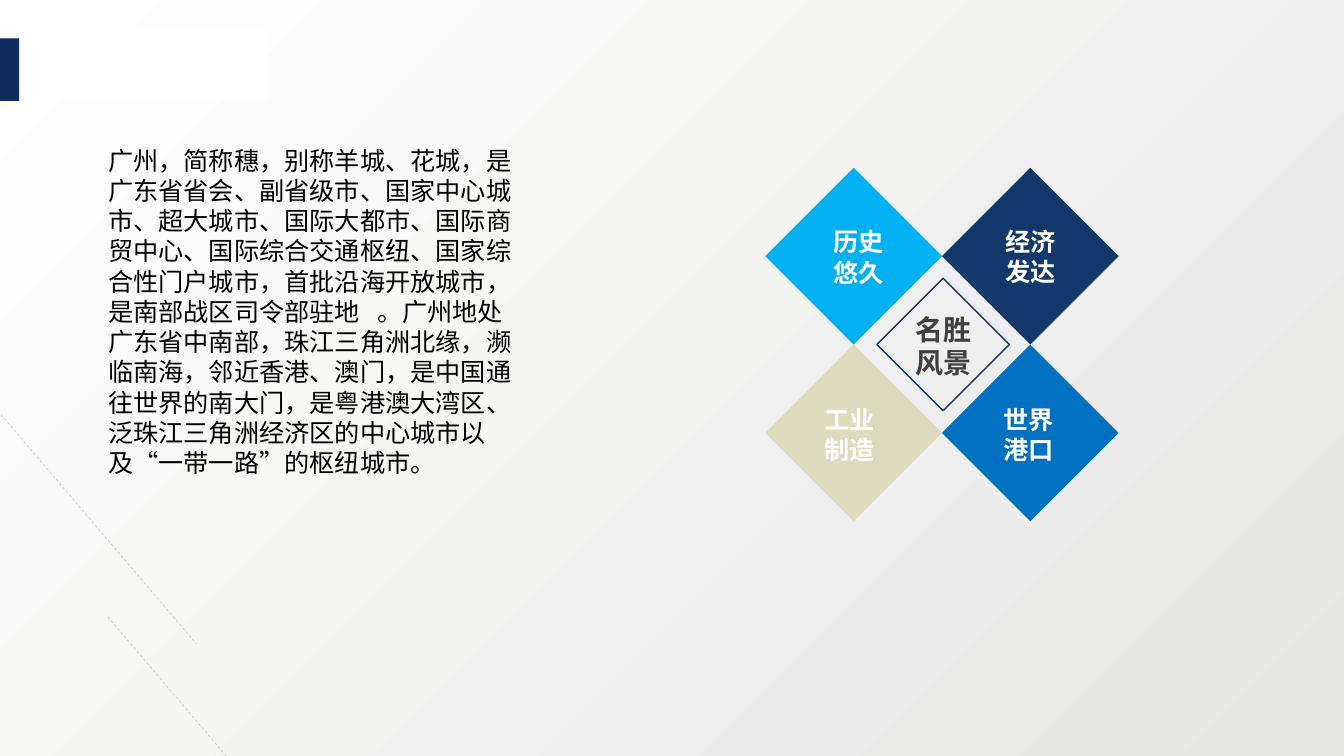
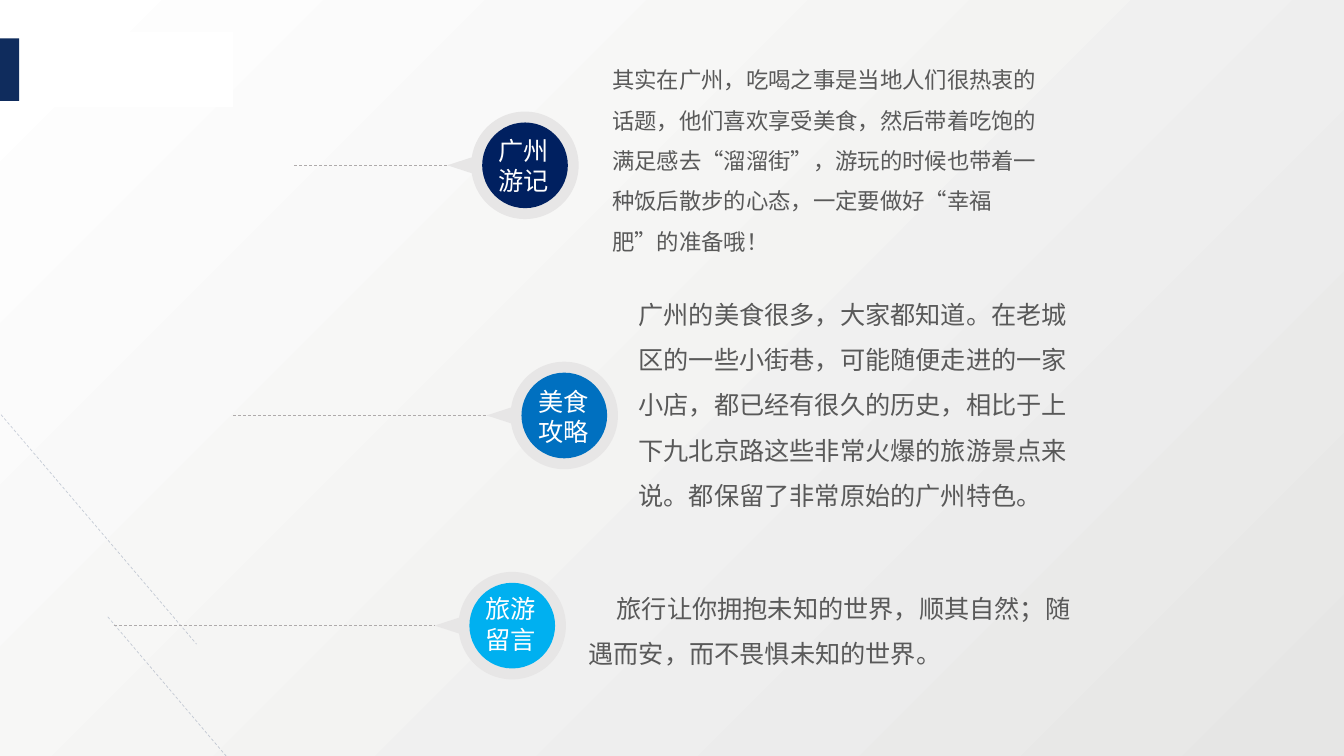
import math
from dataclasses import dataclass
from typing import Optional

import pptx
import pptx.dml.color
import pptx.enum.dml
import pptx.enum.shapes
import pptx.enum.text
import pptx.oxml
import pptx.oxml.ns
import pptx.util

COLS, ROWS = 160, 90
CELL = pptx.util.Pt(6)
FONT = "Noto Sans CJK SC"
COLORS = {
    "marker": "0F2C5D", "navy": "13396C", "midnight": "002060",
    "blue": "0070C0", "sky": "00B0F0", "sand": "DDDBBD",
    "white": "FFFFFF", "black": "000000", "mist": "E6E6E5",
    "ring": "E7E6E6", "leader": "AFABAB", "heading": "404040", "text": "595959",
}
NS = pptx.oxml.ns.nsdecls("a")
SHAPE = pptx.enum.shapes.MSO_SHAPE


@dataclass(frozen=True)
class Box:
    """A place on the grid, in columns and rows."""
    x: float
    y: float
    w: float
    h: float

    def emu(self) -> list[int]:
        return [cells(v) for v in (self.x, self.y, self.w, self.h)]


@dataclass(frozen=True)
class Text:
    words: str
    box: Box
    size: int = 18
    color: str = "text"
    bold: bool = False
    font: str = FONT
    spacing: float = 1.0
    indent: float = 0
    centered: bool = False


@dataclass(frozen=True)
class Callout:
    cx: float
    cy: float
    leader_start: float
    color: str
    label: str
    label_x: float
    label_y: float


def cells(n: float) -> int:
    return round(n * CELL)


def square(cx: float, cy: float, side: float) -> Box:
    return Box(cx - side / 2, cy - side / 2, side, side)


def rgb(name: str) -> pptx.dml.color.RGBColor:
    return pptx.dml.color.RGBColor.from_string(COLORS[name])


def paint(sp, fill: Optional[str] = None, line: Optional[str] = None) -> None:
    sp.shadow.inherit = False
    if fill:
        sp.fill.solid()
        sp.fill.fore_color.rgb = rgb(fill)
    else:
        sp.fill.background()
    if line:
        sp.line.color.rgb = rgb(line)
        sp.line.width = pptx.util.Pt(1)
    else:
        sp.line.fill.background()


def add_shape(s, kind, box: Box, fill: Optional[str] = None,
              line: Optional[str] = None, rotation: float = 0) -> None:
    sp = s.shapes.add_shape(kind, *box.emu())
    sp.rotation = rotation
    paint(sp, fill, line)


def add_text(s, text: Text) -> None:
    """Add a text box; a space between words is drawn three times as wide."""
    tf = s.shapes.add_textbox(*text.box.emu()).text_frame
    tf.word_wrap = True
    tf.auto_size = pptx.enum.text.MSO_AUTO_SIZE.SHAPE_TO_FIT_TEXT
    p = tf.paragraphs[0]
    p.line_spacing = text.spacing
    if text.centered:
        p.alignment = pptx.enum.text.PP_ALIGN.CENTER
    if text.indent:
        p._p.get_or_add_pPr().set("indent", str(cells(text.indent)))
    style = {"size": pptx.util.Pt(text.size), "bold": text.bold, "name": text.font}
    for part in filter(None, text.words.partition(" ")):
        r = p.add_run()
        r.text = part
        for name, value in style.items():
            setattr(r.font, name, value)
        r.font.color.rgb = rgb(text.color)
        rpr = r.font._element
        ea = pptx.oxml.parse_xml(f'<a:ea {NS} typeface="{FONT}"/>')
        rpr.find(pptx.oxml.ns.qn("a:latin")).addnext(ea)
        if part == " ":
            rpr.set("spc", "800")


def add_dashes(s, x1: float, y1: float, x2: float, y2: float,
               color: str, opacity: int = 100) -> None:
    c = s.shapes.add_connector(pptx.enum.shapes.MSO_CONNECTOR.STRAIGHT,
                               *(cells(v) for v in (x1, y1, x2, y2)))
    c.line.color.rgb = rgb(color)
    c.line.width = pptx.util.Pt(0.5)
    c.line.dash_style = pptx.enum.dml.MSO_LINE.DASH
    if opacity < 100:
        clr = c.line._ln.find(".//" + pptx.oxml.ns.qn("a:srgbClr"))
        clr.append(pptx.oxml.parse_xml(f'<a:alpha {NS} val="{opacity * 1000}"/>'))
    c._element.spPr.append(pptx.oxml.parse_xml(f"<a:effectLst {NS}/>"))


def set_background(prs) -> None:
    fill = prs.slide_master.background.fill
    fill.gradient()
    fill.gradient_angle = 135
    for stop, color in zip(fill.gradient_stops, ("mist", "white")):
        stop.color.rgb = rgb(color)


def new_slide(prs):
    """Add a blank slide with the side marker and the two slanted lines."""
    s = prs.slides.add_slide(prs.slide_layouts[6])
    add_shape(s, SHAPE.RECTANGLE, Box(0, 4.56, 2.28, 7.44), "marker")
    for ends in ((12.84, 73.44, 33.96, 98.28), (-31.92, 11.76, 23.4, 76.68)):
        add_dashes(s, *ends, "marker", opacity=21)
    return s


def add_panel(s, box: Box) -> None:
    add_shape(s, SHAPE.RECTANGLE, box, "white", "white")


def add_pointed_ring(s, cx: float, cy: float, radius: float, tip: float) -> None:
    """Draw a disc with a point on its left, its round side as one arc."""
    gap = 8.5
    neck_x = cx - radius * math.cos(math.radians(gap))
    neck_y = radius * math.sin(math.radians(gap))
    corners = ((neck_x, cy - neck_y), (cx, cy - radius), (cx + radius, cy),
               (cx, cy + radius), (neck_x, cy + neck_y))
    outline = s.shapes.build_freeform(cells(cx - tip), cells(cy))
    outline.add_line_segments([(cells(x), cells(y)) for x, y in corners], close=True)
    sp = outline.convert_to_shape()
    first, *rest = sp._element.findall(".//" + pptx.oxml.ns.qn("a:lnTo"))
    for segment in rest:
        segment.getparent().remove(segment)
    r = cells(radius)
    start, sweep = (round(a * 60000) for a in (180 + gap, 360 - 2 * gap))
    first.addnext(pptx.oxml.parse_xml(
        f'<a:arcTo {NS} wR="{r}" hR="{r}" stAng="{start}" swAng="{sweep}"/>'))
    paint(sp, "ring")


def add_callout(s, c: Callout) -> None:
    tip = 9.24
    add_pointed_ring(s, c.cx, c.cy, 6.4, tip)
    add_shape(s, SHAPE.OVAL, square(c.cx, c.cy, 10.2), c.color)
    add_dashes(s, c.leader_start, c.cy, c.cx - tip, c.cy, "leader")
    add_text(s, Text(c.label, Box(c.label_x, c.label_y, 9.96, 8.52),
                     color="white", centered=True))


def build_city_slide(prs) -> None:
    s = new_slide(prs)
    cx, cy, half = 112.14, 41.02, 10.52
    for i, color in enumerate(("sky", "navy", "sand", "blue")):
        row, col = divmod(i, 2)
        tile = square(cx + (2 * col - 1) * half, cy + (2 * row - 1) * half,
                      half * math.sqrt(2))
        add_shape(s, SHAPE.RECTANGLE, tile, color, rotation=45)

    add_text(s, Text("名胜风景", Box(107.76, 36.6, 10.32, 9.24), 20, "heading", True))
    labels = (
        ("历史悠久", Box(96.92, 26.4, 10.56, 8.52), True),
        ("经济发达", Box(118.5, 26.36, 10.32, 8.52), False),
        ("工业制造", Box(96.96, 47.52, 10.32, 8.52), False),
        ("世界港口", Box(118.32, 47.52, 10.32, 8.52), False),
    )
    for words, box, centered in labels:
        add_text(s, Text(words, box, color="white", bold=True, centered=centered))
    add_shape(s, SHAPE.RECTANGLE, square(cx + 0.14, cy, 11.16), line="navy", rotation=45)

    add_text(s, Text(
        "广州，简称穗，别称羊城、花城，是广东省省会、副省级市、国家中心城市、超大城市、"
        "国际大都市、国际商贸中心、国际综合交通枢纽、国家综合性门户城市，首批沿海开放城市，"
        "是南部战区司令部驻地 。广州地处广东省中南部，珠江三角洲北缘，濒临南海，"
        "邻近香港、澳门，是中国通往世界的南大门，是粤港澳大湾区、泛珠江三角洲经济区的"
        "中心城市以及“一带一路”的枢纽城市。",
        Box(11.7, 16.68, 51.12, 41.16), color="black", font="Calibri"))
    add_panel(s, Box(3, 3.24, 28.8, 8.64))


def build_travel_slide(prs) -> None:
    s = new_slide(prs)
    for callout in (
        Callout(62.5, 19.68, 35.04, "midnight", "广州游记", 57.36, 15.48),
        Callout(67.18, 49.46, 27.72, "blue", "美食攻略", 62.1, 45.36),
        Callout(60.98, 74.48, 13.56, "sky", "旅游留言", 55.8, 70.08),
    ):
        add_callout(s, callout)

    for text in (
        Text("其实在广州，吃喝之事是当地人们很热衷的话题，他们喜欢享受美食，然后带着吃饱的"
             "满足感去“溜溜街”，游玩的时候也带着一种饭后散步的心态，一定要做好“幸福肥”的准备哦！",
             Box(71.72, 5.74, 54, 25.44), size=16, spacing=1.5),
        Text("广州的美食很多，大家都知道。在老城区的一些小街巷，可能随便走进的一家小店，"
             "都已经有很久的历史，相比于上下九北京路这些非常火爆的旅游景点来说。"
             "都保留了非常原始的广州特色。",
             Box(74.84, 33.2, 53.52, 28.44), spacing=1.5),
        Text("旅行让你拥抱未知的世界，顺其自然；随遇而安，而不畏惧未知的世界。",
             Box(68.88, 68.24, 59.76, 12.12), spacing=1.5, indent=3.36),
    ):
        add_text(s, text)
    add_panel(s, Box(3.96, 3.84, 23.76, 8.88))


def main() -> None:
    prs = pptx.Presentation()
    prs.slide_width, prs.slide_height = cells(COLS), cells(ROWS)
    set_background(prs)
    build_city_slide(prs)
    build_travel_slide(prs)
    prs.save("out.pptx")


if __name__ == "__main__":
    main()
